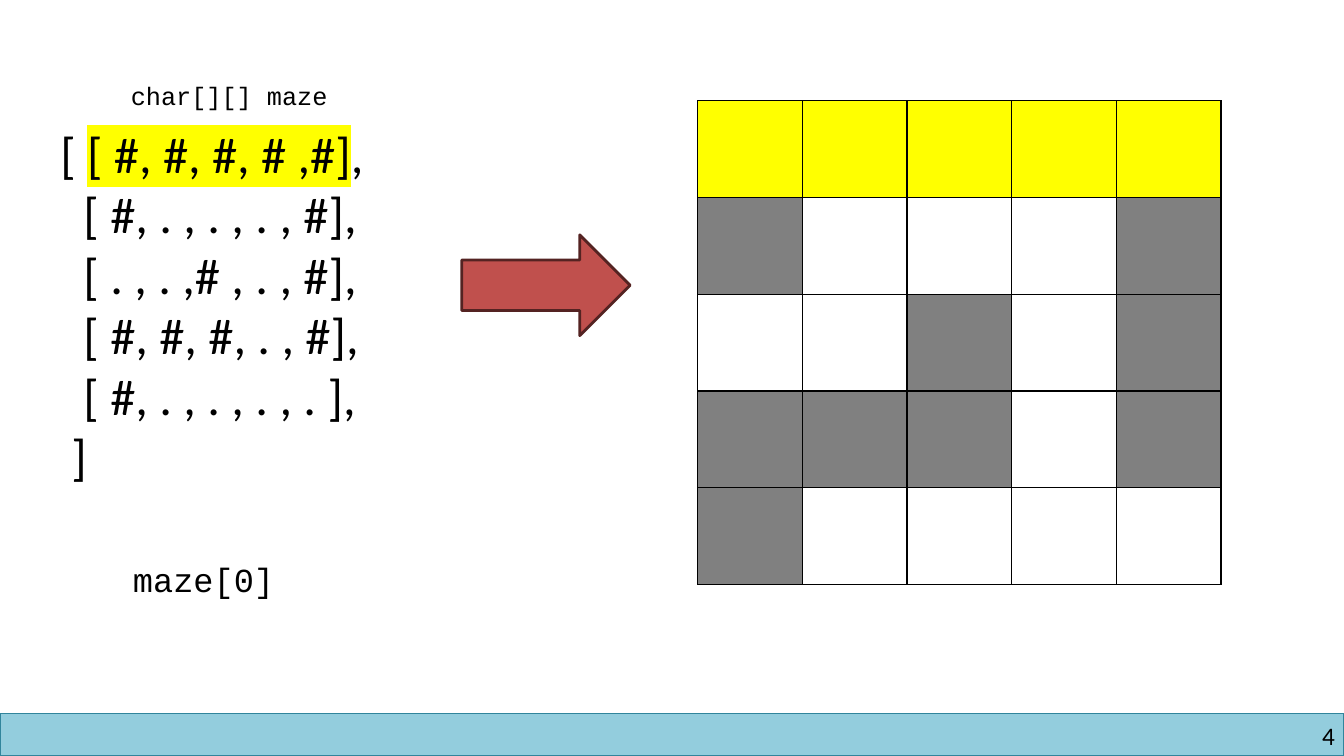
"""Build a slide that maps a two-dimensional char array to a maze grid."""
from dataclasses import dataclass

from lxml.etree import SubElement
from pptx import Presentation
from pptx.dml.color import RGBColor
from pptx.enum.shapes import MSO_SHAPE as Shape
from pptx.enum.text import PP_ALIGN as Align
from pptx.oxml.ns import qn
from pptx.util import Inches, Pt

BLACK, WHITE, GRAY, YELLOW = "000000", "FFFFFF", "808080", "FFFF00"


@dataclass
class Run:
    text: str
    highlight: str = ""


@dataclass
class Line:
    runs: list[Run]
    indent: float = 0


@dataclass
class Block:
    kind: Shape
    box: tuple[float, float, float, float]
    fill: str
    line: str
    weight: float


@dataclass
class Label:
    text: str
    box: tuple[float, float, float, float]
    size: int


FIRST_ROW = "[ #, #, #, # ,#]"
OTHER_ROWS = [
    "[ #, . , . , . , #],",
    "[ . , . ,# , . , #],",
    "[ #, #, #, . , #],",
    "[ #, . , . , . , . ],",
]
MAZE_LINES = [
    Line([Run("[ "), Run(FIRST_ROW, YELLOW), Run(",")]),
    *[Line([Run(row)], 0.23) for row in OTHER_ROWS],
    Line([Run("]")], 0.11),
]
BLOCKS = [
    Block(Shape.RECTANGLE, (0, 7.08, 13.33, 0.42), "93CDDD", "31859C", 1),
    Block(Shape.RIGHT_ARROW, (4.58, 2.33, 1.67, 1), "C0504D", "542322", 2),
]
LABELS = [
    Label("char[][] maze", (1.2, 0.75, 2.16, 0.4), 18),
    Label("maze[0]", (1.22, 5.5, 1.61, 0.5), 24),
]


def rgb(color: str) -> RGBColor:
    return RGBColor.from_string(color)


def inches(box: tuple) -> list:
    return [Inches(v) for v in box]


def add_text(s, text: str | list[Line], box: tuple, *, size: int, font: str = "Calibri",
             align: Align = Align.LEFT, wrap: bool = False, inset: bool = True) -> None:
    tf = s.shapes.add_textbox(*inches(box)).text_frame
    tf.word_wrap = wrap
    if not inset:
        tf.margin_left = tf.margin_right = tf.margin_top = tf.margin_bottom = 0
    lines = [Line([Run(text)])] if isinstance(text, str) else text
    for i, line in enumerate(lines):
        p = tf.add_paragraph() if i else tf.paragraphs[0]
        p.alignment = align
        if line.indent:
            p._p.get_or_add_pPr().set("marL", str(Inches(line.indent)))
        for run in line.runs:
            r = p.add_run()
            r.text = run.text
            r.font.size = Pt(size)
            r.font.color.rgb = rgb(BLACK)
            if run.highlight:
                mark = SubElement(r.font._element, qn("a:highlight"))
                SubElement(mark, qn("a:srgbClr"), val=run.highlight)
            r.font.name = font


def add_block(s, block: Block) -> None:
    sp = s.shapes.add_shape(block.kind, *inches(block.box))
    sp.shadow.inherit = False
    sp.fill.solid()
    sp.fill.fore_color.rgb = rgb(block.fill)
    sp.line.color.rgb = rgb(block.line)
    sp.line.width = Pt(block.weight)


def style_cell(cell, fill: str) -> None:
    tc_pr = cell._tc.get_or_add_tcPr()
    for side in ("lnL", "lnR", "lnT", "lnB"):
        ln = SubElement(tc_pr, qn(f"a:{side}"), w=str(Pt(1)))
        SubElement(SubElement(ln, qn("a:solidFill")), qn("a:srgbClr"), val=BLACK)
    cell.fill.solid()
    cell.fill.fore_color.rgb = rgb(fill)


def add_maze(s, box: tuple) -> None:
    rows = [[c for c in row if c in "#."] for row in [FIRST_ROW, *OTHER_ROWS]]
    table = s.shapes.add_table(len(rows), len(rows[0]), *inches(box)).table
    for i, row in enumerate(rows):
        for j, char in enumerate(row):
            wall = GRAY if i else YELLOW
            style_cell(table.cell(i, j), wall if char == "#" else WHITE)


def main() -> None:
    prs = Presentation()
    prs.slide_width, prs.slide_height = Inches(13.33), Inches(7.5)
    s = prs.slides.add_slide(prs.slide_layouts[6])
    for block in BLOCKS:
        add_block(s, block)
    add_text(s, "4", (10.17, 7.15, 3.07, 0.3), size=18, align=Align.RIGHT,
             wrap=True, inset=False)
    add_maze(s, (6.92, 1, 5.19, 4.8))
    add_text(s, MAZE_LINES, (0.5, 1.17, 3.57, 3.74), size=36)
    for label in LABELS:
        add_text(s, label.text, label.box, size=label.size, font="Courier New")
    prs.save("out.pptx")


if __name__ == "__main__":
    main()
